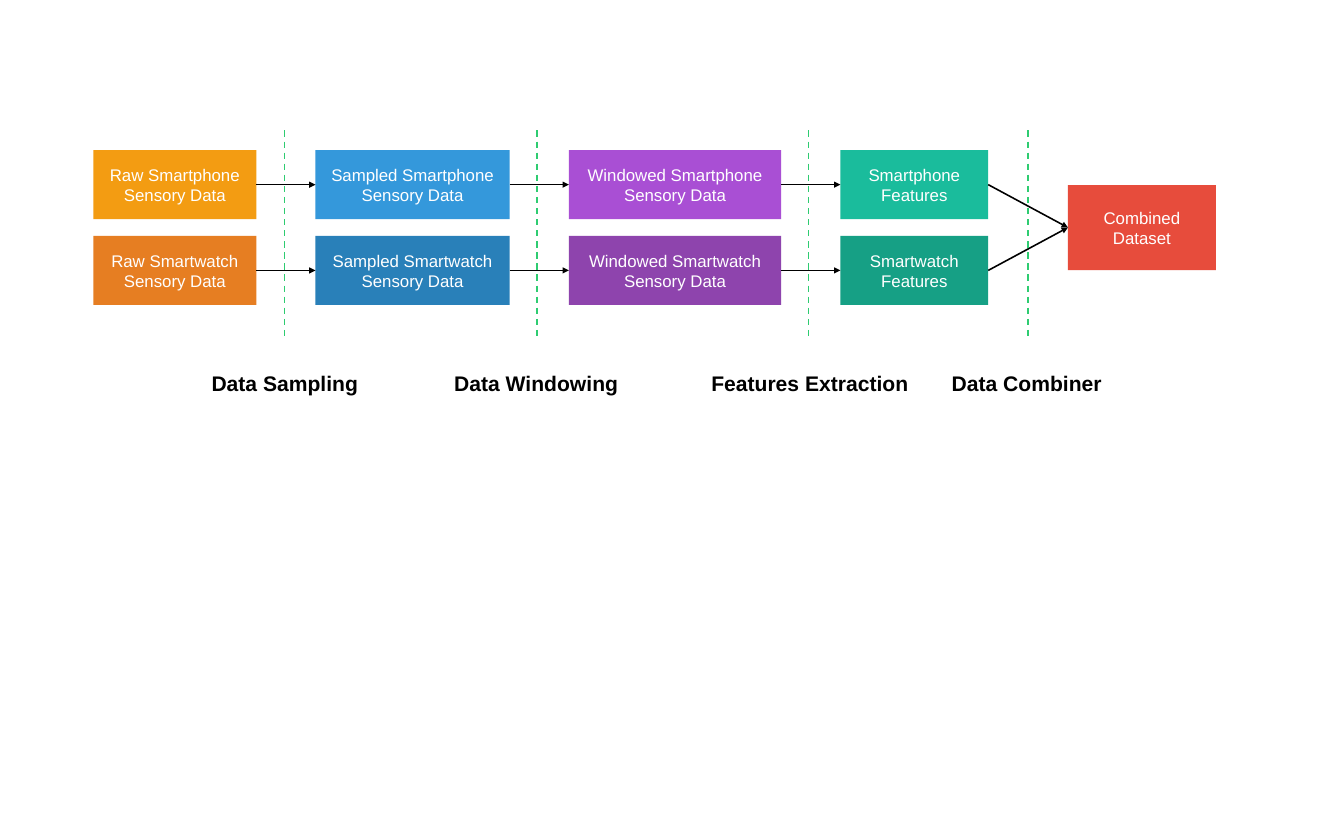
from dataclasses import dataclass

from lxml.etree import SubElement
from pptx import Presentation
from pptx.dml.color import RGBColor
from pptx.enum.dml import MSO_LINE
from pptx.enum.shapes import MSO_CONNECTOR, MSO_SHAPE
from pptx.enum.text import MSO_ANCHOR, MSO_AUTO_SIZE, PP_ALIGN
from pptx.oxml.ns import qn
from pptx.shapes.autoshape import Shape
from pptx.shapes.connector import Connector
from pptx.slide import Slide
from pptx.text.text import TextFrame
from pptx.util import Inches, Pt

FONT = "Arial"
BLACK = "000000"
WHITE = "FFFFFF"
DIVIDER_GREEN = "2ECC71"
DEVICES = ("Smartphone", "Smartwatch")
ROW_TOPS = (1.98, 3.11)
ROW_HEIGHT = 0.91
DIVIDER_TOP, DIVIDER_BOTTOM = 1.72, 4.49
LABEL_TOP, LABEL_HEIGHT = 4.84, 0.44
LEFT_SITE, RIGHT_SITE = 1, 3


@dataclass(frozen=True)
class Stage:
    wording: str
    left: float
    width: float
    colors: tuple[str, str]


@dataclass(frozen=True)
class Step:
    name: str
    divider_x: float
    label_left: float
    label_width: float


STAGES = (
    Stage("Raw {} Sensory Data", 1.23, 2.15, ("F39C12", "E67E22")),
    Stage("Sampled {} Sensory Data", 4.16, 2.56, ("3498DB", "2980B9")),
    Stage("Windowed {} Sensory Data", 7.5, 2.8, ("A94FD4", "8E44AD")),
    Stage("{} Features", 11.08, 1.95, ("1ABC9C", "16A085")),
)
STEPS = (
    Step("Data Sampling", 3.75, 2.69, 2.15),
    Step("Data Windowing", 7.08, 5.89, 2.38),
    Step("Features Extraction", 10.66, 9.28, 2.82),
    Step("Data Combiner", 13.55, 12.45, 2.2),
)


def rgb(color: str) -> RGBColor:
    return RGBColor.from_string(color)


def write(frame: TextFrame, wording: str, size: int, color: str, bold: bool) -> None:
    frame.text = wording
    font = frame.paragraphs[0].runs[0].font
    font.name = FONT
    font.size = Pt(size)
    font.bold = bold
    font.color.rgb = rgb(color)


def add_dataset(slide: Slide, wording: str, left: float, top: float,
                width: float, height: float, color: str) -> Shape:
    dataset = slide.shapes.add_shape(
        MSO_SHAPE.RECTANGLE, Inches(left), Inches(top), Inches(width), Inches(height))
    dataset.shadow.inherit = False
    dataset.fill.solid()
    dataset.fill.fore_color.rgb = rgb(color)
    dataset.line.fill.background()
    frame = dataset.text_frame
    frame.word_wrap = True
    frame.vertical_anchor = MSO_ANCHOR.MIDDLE
    write(frame, wording, 16, WHITE, False)
    frame.paragraphs[0].alignment = PP_ALIGN.CENTER
    return dataset


def add_line(slide: Slide, x: float, top: float, bottom: float, color: str) -> Connector:
    line = slide.shapes.add_connector(
        MSO_CONNECTOR.STRAIGHT, Inches(x), Inches(top), Inches(x), Inches(bottom))
    line.line.color.rgb = rgb(color)
    line.line.width = Pt(1.5)
    SubElement(line.element.spPr, qn("a:effectLst"))
    return line


def add_arrow(slide: Slide, source: Shape, target: Shape) -> None:
    arrow = add_line(slide, 0, 0, 0, BLACK)
    arrow.begin_connect(source, RIGHT_SITE)
    arrow.end_connect(target, LEFT_SITE)
    SubElement(arrow.line._get_or_add_ln(), qn("a:tailEnd"), type="triangle")


def add_step(slide: Slide, step: Step) -> None:
    divider = add_line(slide, step.divider_x, DIVIDER_TOP, DIVIDER_BOTTOM, DIVIDER_GREEN)
    divider.line.dash_style = MSO_LINE.DASH
    label = slide.shapes.add_textbox(
        Inches(step.label_left), Inches(LABEL_TOP),
        Inches(step.label_width), Inches(LABEL_HEIGHT))
    label.text_frame.word_wrap = False
    label.text_frame.auto_size = MSO_AUTO_SIZE.SHAPE_TO_FIT_TEXT
    write(label.text_frame, step.name, 20, BLACK, True)


def main() -> None:
    presentation = Presentation()
    presentation.slide_width = Inches(17.72)
    presentation.slide_height = Inches(10.93)
    slide = presentation.slides.add_slide(presentation.slide_layouts[6])

    combined = add_dataset(slide, "Combined Dataset", 14.08, 2.44, 1.95, 1.12, "E74C3C")
    for row, (device, top) in enumerate(zip(DEVICES, ROW_TOPS)):
        pipeline = [
            add_dataset(slide, stage.wording.format(device), stage.left, top,
                        stage.width, ROW_HEIGHT, stage.colors[row])
            for stage in STAGES
        ] + [combined]
        for source, target in zip(pipeline, pipeline[1:]):
            add_arrow(slide, source, target)

    for step in STEPS:
        add_step(slide, step)

    presentation.save("out.pptx")


if __name__ == "__main__":
    main()
